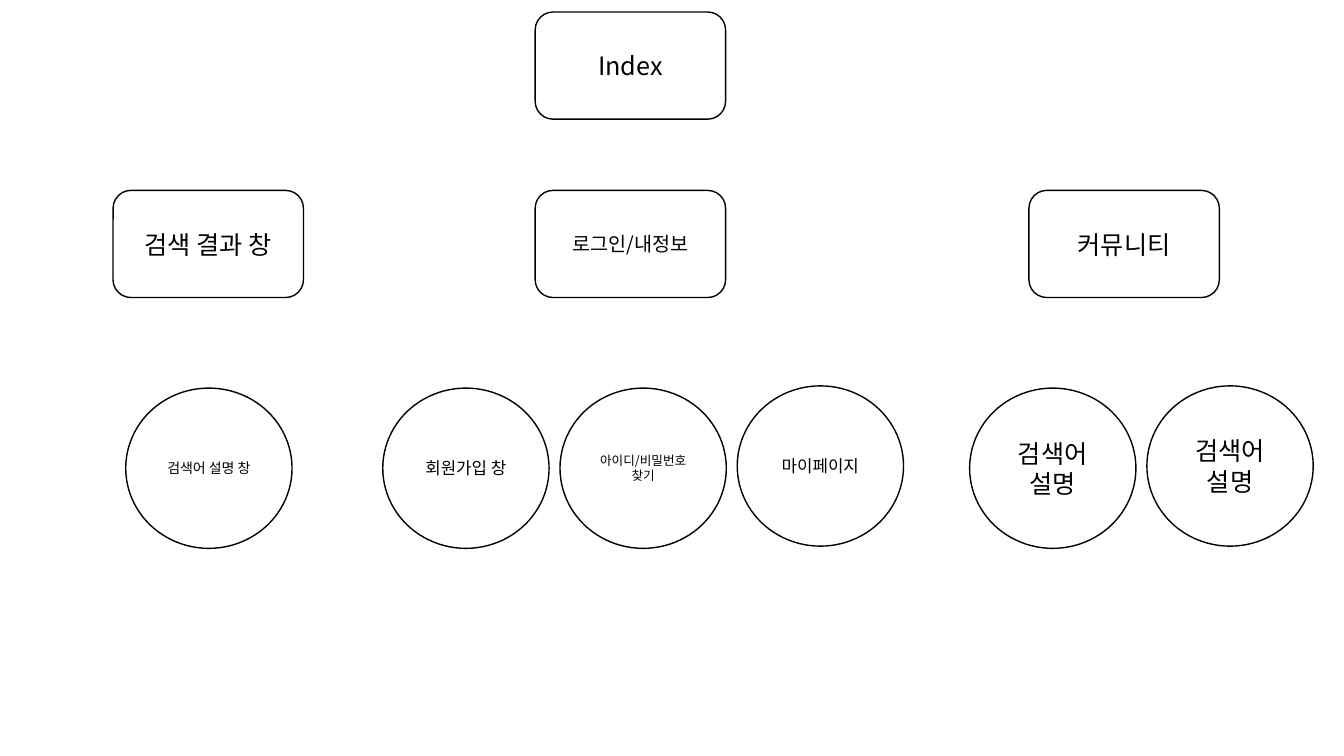
"""Build a site map slide: page boxes above circles for their sub-pages."""
from dataclasses import dataclass

import pptx
import pptx.dml.color
import pptx.enum.shapes
import pptx.enum.text
import pptx.oxml.ns
import pptx.shapes.autoshape
import pptx.slide
import pptx.util
from lxml import etree

BLACK = pptx.dml.color.RGBColor(0, 0, 0)
FONT = "Noto Sans CJK KR"
BOX = pptx.enum.shapes.MSO_SHAPE.ROUNDED_RECTANGLE
CIRCLE = pptx.enum.shapes.MSO_SHAPE.OVAL
SIZES = {BOX: (136, 76.5), CIRCLE: (118.8, 114.5)}

INDEX_TOP, PAGE_TOP = 8.6, 136
CIRCLE_TOP, RAISED_TOP = 277.2, 275.6
SEARCH_LEFT, LOGIN_LEFT, COMMUNITY_LEFT = 80.8, 382.3, 735
CIRCLE_PITCH = 126.6
SIGN_UP_LEFT, TERM_LEFT = 273.4, 692.6


@dataclass(frozen=True)
class Node:
    """One page of the site map, placed in points."""

    kind: pptx.enum.shapes.MSO_SHAPE
    left: float
    top: float
    text: str
    size: float = 18


NODES = [
    Node(BOX, LOGIN_LEFT, INDEX_TOP, "Index"),
    Node(BOX, SEARCH_LEFT, PAGE_TOP, "검색 결과 창"),
    Node(BOX, LOGIN_LEFT, PAGE_TOP, "로그인/내정보", 14),
    Node(BOX, COMMUNITY_LEFT, PAGE_TOP, "커뮤니티"),
    Node(CIRCLE, 89.8, CIRCLE_TOP, "검색어 설명 창", 10),
    Node(CIRCLE, SIGN_UP_LEFT, CIRCLE_TOP, "회원가입 창", 12),
    Node(CIRCLE, SIGN_UP_LEFT + CIRCLE_PITCH, CIRCLE_TOP, "아이디/비밀번호 찾기", 9),
    Node(CIRCLE, SIGN_UP_LEFT + 2 * CIRCLE_PITCH, RAISED_TOP, "마이페이지", 12),
    Node(CIRCLE, TERM_LEFT, CIRCLE_TOP, "검색어 설명"),
    Node(CIRCLE, TERM_LEFT + CIRCLE_PITCH, RAISED_TOP, "검색어 설명"),
]


def write_text(
    shape: pptx.shapes.autoshape.Shape,
    text: str,
    *,
    size: float,
    font: str = FONT,
    color: pptx.dml.color.RGBColor = BLACK,
) -> None:
    """Write centred text in a shape, with one font for Latin and Korean."""
    frame = shape.text_frame
    frame.word_wrap = True
    frame.vertical_anchor = pptx.enum.text.MSO_ANCHOR.MIDDLE
    para = frame.paragraphs[0]
    para.alignment = pptx.enum.text.PP_ALIGN.CENTER
    span = para.add_run()
    span.text = text
    span.font.size = pptx.util.Pt(size)
    span.font.name = font
    span.font.color.rgb = color
    properties = span.font._element
    etree.SubElement(properties, pptx.oxml.ns.qn("a:ea"), typeface=font)


def draw_node(page: pptx.slide.Slide, node: Node) -> None:
    """Draw an outlined node with its label."""
    lengths = (node.left, node.top, *SIZES[node.kind])
    shape = page.shapes.add_shape(node.kind, *map(pptx.util.Pt, lengths))
    shape.shadow.inherit = False
    shape.fill.background()
    shape.line.color.rgb = BLACK
    shape.line.width = pptx.util.Pt(1)
    write_text(shape, node.text, size=node.size)


def main() -> None:
    """Build and save the deck."""
    deck = pptx.Presentation()
    deck.slide_width = pptx.util.Pt(960)
    deck.slide_height = pptx.util.Pt(540)
    page = deck.slides.add_slide(deck.slide_layouts.get_by_name("Blank"))
    for node in NODES:
        draw_node(page, node)
    deck.save("out.pptx")


main()
